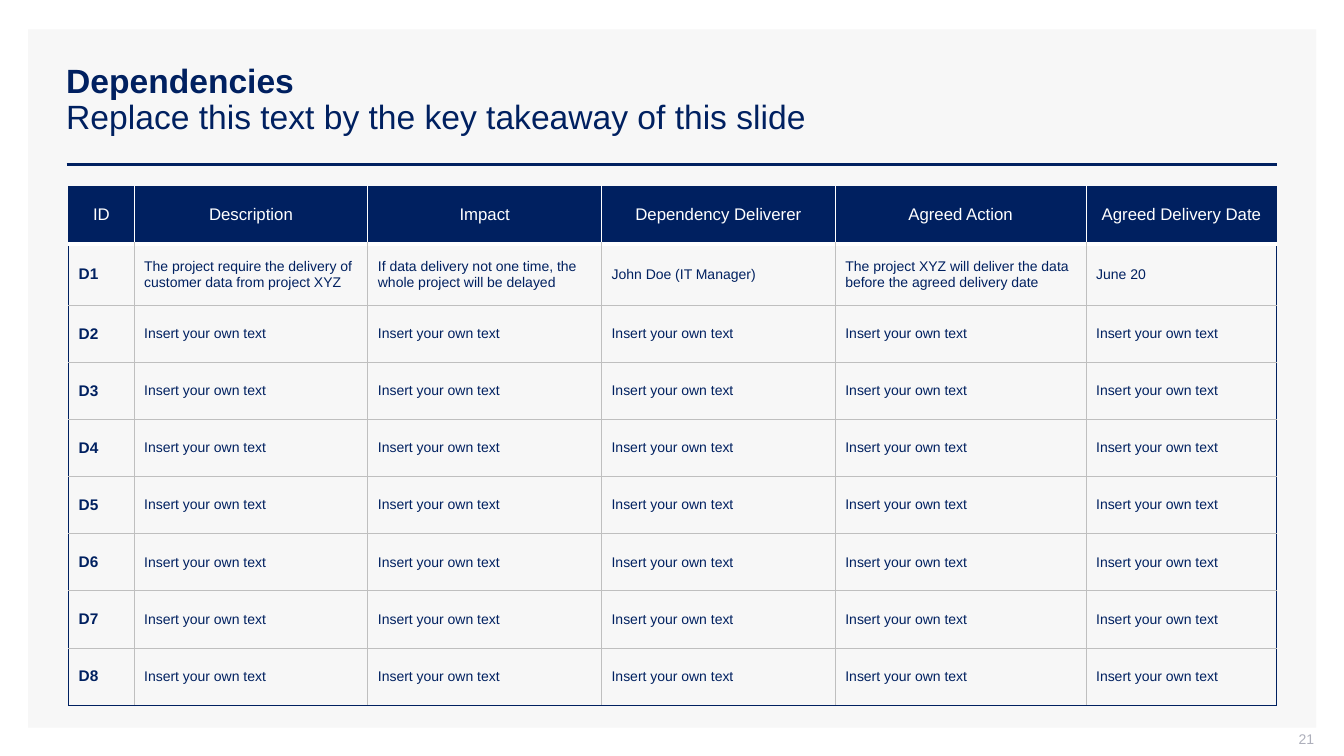
import pptx
import pptx.dml.color
import pptx.enum.shapes
import pptx.enum.text
import pptx.oxml
import pptx.oxml.ns
import pptx.oxml.xmlchemy
import pptx.util
from pptx.util import Cm

NAVY, GREY, WHITE = "002060", "BFBFBF", "FFFFFF"
MIDDLE = pptx.enum.text.MSO_ANCHOR.MIDDLE
ALIGN = pptx.enum.text.PP_ALIGN


def color(value):
    return pptx.dml.color.RGBColor.from_string(value)


def add_run(paragraph, text, size, ink, bold=False):
    run = paragraph.add_run()
    run.text = text
    run.font.name = "Arial"
    run.font.size = pptx.util.Pt(size)
    run.font.bold = bold
    run.font.color.rgb = color(ink)


deck = pptx.Presentation()
deck.slide_width, deck.slide_height = Cm(33.87), Cm(19.05)
slide = deck.slides.add_slide(deck.slide_layouts[6])

panel = slide.shapes.add_shape(
    pptx.enum.shapes.MSO_SHAPE.RECTANGLE, Cm(0.71), Cm(0.74), Cm(32.46), Cm(17.6))
panel.shadow.inherit = False
panel.fill.solid()
panel.fill.fore_color.rgb = color("F7F7F7")
panel.line.fill.background()

divider = slide.shapes.add_connector(
    pptx.enum.shapes.MSO_CONNECTOR.STRAIGHT, Cm(1.68), Cm(4.14), Cm(32.18), Cm(4.14))
divider.line.color.rgb = color(NAVY)
divider.line.width = pptx.util.Pt(2)
divider._element.spPr.append(pptx.oxml.xmlchemy.OxmlElement("a:effectLst"))

title = slide.shapes.add_textbox(Cm(1.42), Cm(1.02), Cm(30.76), Cm(3.02)).text_frame
title.word_wrap = True
title.vertical_anchor = MIDDLE
heading = title.paragraphs[0]
heading.line_spacing = 0.9
add_run(heading, "Dependencies", 24, NAVY, True)
heading.add_line_break()
add_run(heading, "Replace this text by the key takeaway of this slide", 24, NAVY)

page = slide.shapes.add_textbox(Cm(25.5), Cm(18.42), Cm(7.62), Cm(0.53)).text_frame
page.word_wrap = True
page.vertical_anchor = MIDDLE
page.margin_right = page.margin_top = 0
page.margin_bottom = Cm(0.13)
page.paragraphs[0].alignment = ALIGN.RIGHT
add_run(page.paragraphs[0], "21", 10, "ADAFBB")

columns = [("ID", 1.65), ("Description", 5.89), ("Impact", 5.89),
           ("Dependency Deliverer", 5.89), ("Agreed Action", 6.32),
           ("Agreed Delivery Date", 4.81)]
rows = [
    [name for name, width in columns],
    ["D1", "The project require the delivery of customer data from project XYZ",
     "If data delivery not one time, the whole project will be delayed",
     "John Doe (IT Manager)",
     "The project XYZ will deliver the data before the agreed delivery date",
     "June 20"],
]
rows += [[f"D{n}"] + ["Insert your own text"] * 5 for n in range(2, 9)]
last_row, last_col = len(rows) - 1, len(columns) - 1

dependencies = slide.shapes.add_table(
    len(rows), len(columns), Cm(1.73), Cm(4.7), Cm(30.45), Cm(13.07)).table
dependencies.first_row = False
dependencies.horz_banding = False
for column, (name, width) in zip(dependencies.columns, columns):
    column.width = Cm(width)

for r, texts in enumerate(rows):
    dependencies.rows[r].height = Cm(1.55 if r == 1 else 1.44)
    inner = WHITE if r == 0 else GREY
    for c, text in enumerate(texts):
        cell = dependencies.cell(r, c)
        cell.vertical_anchor = MIDDLE
        paragraph = cell.text_frame.paragraphs[0]
        borders = {
            "L": (NAVY if c == 0 else inner, 0.75),
            "R": (NAVY if c == last_col else inner, 0.75),
            "T": {0: (NAVY, 0.75), 1: (WHITE, 1)}.get(r, (GREY, 0.75)),
            "B": {0: (WHITE, 3), last_row: (NAVY, 0.75)}.get(r, (GREY, 0.75)),
        }
        for side, (ink, points) in borders.items():
            cell._tc.get_or_add_tcPr().append(pptx.oxml.parse_xml(
                f'<a:ln{side} {pptx.oxml.ns.nsdecls("a")} w="{pptx.util.Pt(points)}">'
                f'<a:solidFill><a:srgbClr val="{ink}"/></a:solidFill></a:ln{side}>'))
        if r == 0:
            cell.fill.solid()
            cell.fill.fore_color.rgb = color(NAVY)
            paragraph.alignment = ALIGN.CENTER
            add_run(paragraph, text, 12, WHITE)
        else:
            cell.fill.background()
            add_run(paragraph, text, 11 if c == 0 else 10, NAVY, c == 0)

deck.save("out.pptx")
